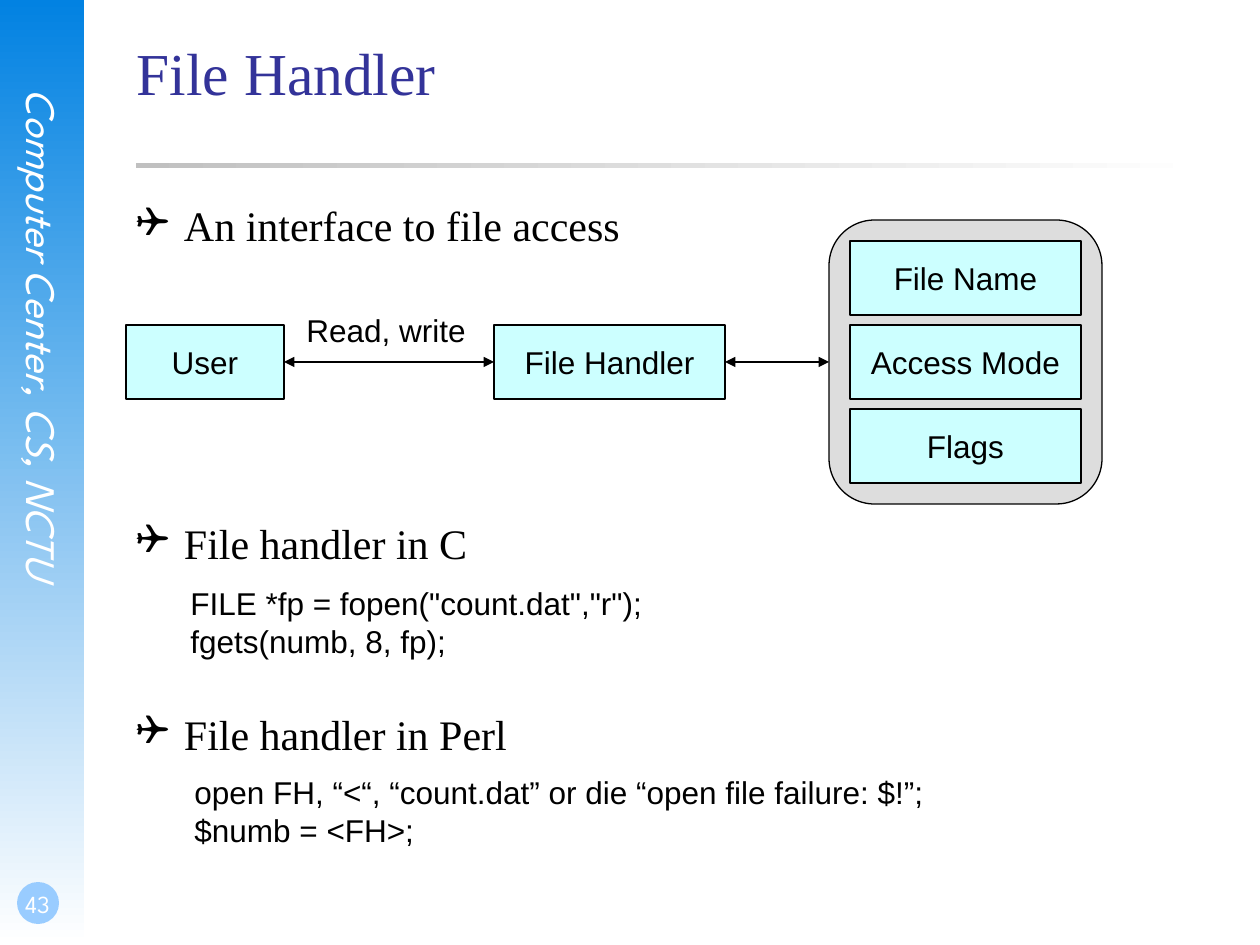
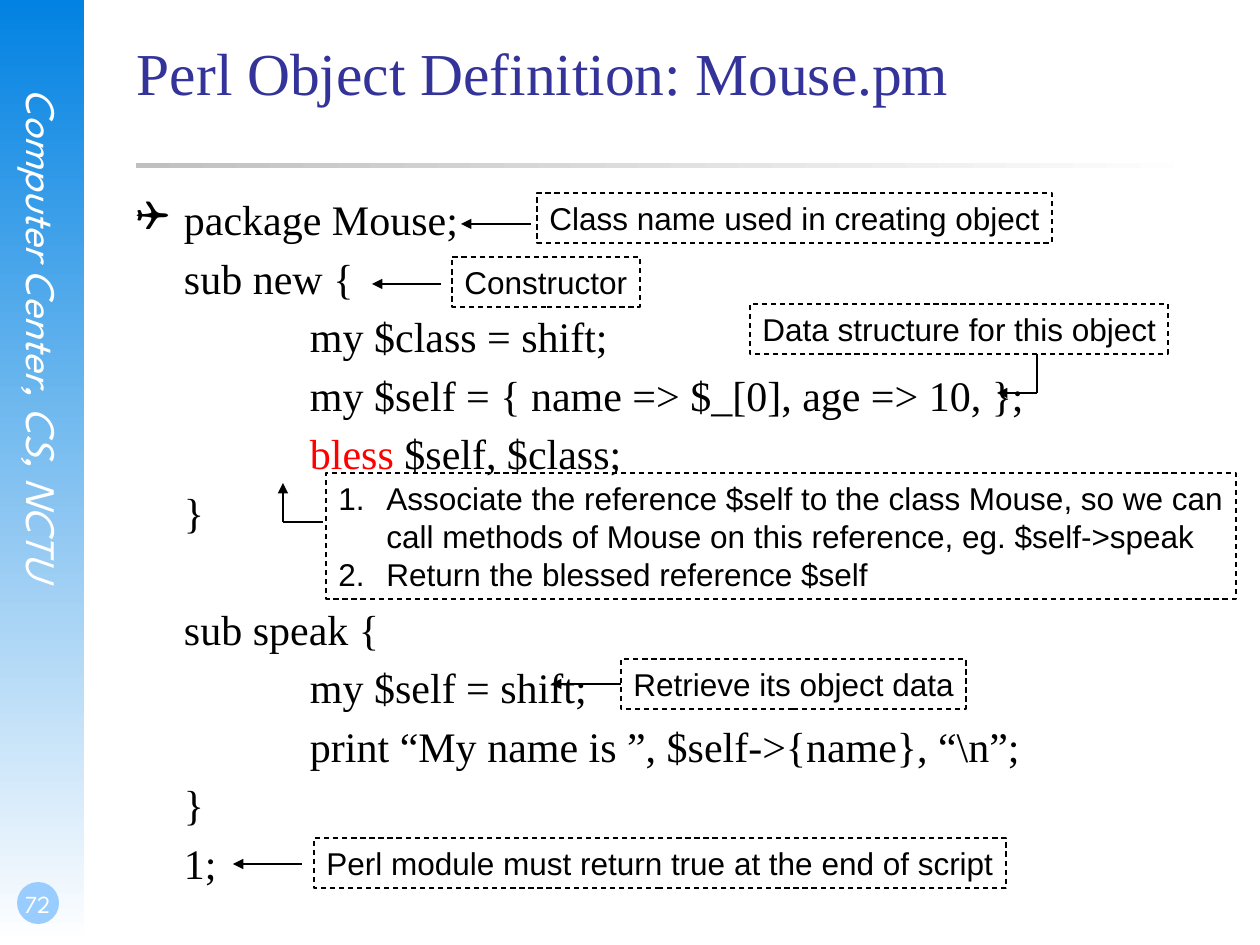
from lxml import etree
from pptx import Presentation
from pptx import util as u
from pptx.dml.color import RGBColor
from pptx.enum import dml, shapes, text
from pptx.oxml.ns import qn

EMU_PER_PX = 914400 / 126
SERIF, SANS, BAND_FONT = "Times New Roman", "Arial", "League Spartan"
BLACK, WHITE, TITLE_BLUE, RED = "000000", "FFFFFF", "333399", "FF0000"
BOX_BLUE, PANEL_GREY, CIRCLE_BLUE = "CCFFFF", "DDDDDD", "99CCFF"
LEFT, WIDTH, HANG = 136, 1071, 48
LINE_RATIO = 1.2
PARAGRAPH_GAP = 7.5
RECTANGLE = shapes.MSO_SHAPE.RECTANGLE
color = RGBColor.from_string


def px(*values):
    return [u.Emu(round(value * EMU_PER_PX)) for value in values]


def write(shape, lines, size=18, font=SANS, hue=BLACK, align="LEFT", anchor="TOP",
          wrap=False, inset=None, ratio=LINE_RATIO):
    """Each line is (text, bullet, left margin in px, space before in points)."""
    frame = shape.text_frame
    frame.word_wrap = wrap
    frame.vertical_anchor = text.MSO_ANCHOR[anchor]
    if inset is not None:
        frame.margin_left = frame.margin_right = inset
        frame.margin_top = frame.margin_bottom = inset
    for number, (words, bullet, margin, before) in enumerate(lines):
        paragraph = frame.paragraphs[0] if number == 0 else frame.add_paragraph()
        paragraph.text = words
        properties = paragraph._p.get_or_add_pPr()
        properties.set("marL", str(px(margin)[0]))
        properties.set("indent", str(-px(HANG)[0] if bullet else 0))
        if bullet == "1.":
            etree.SubElement(properties, qn("a:buAutoNum"), type="arabicPeriod")
        elif bullet:
            etree.SubElement(properties, qn("a:buFont"), typeface="Wingdings")
            etree.SubElement(properties, qn("a:buChar"), char=bullet)
        else:
            etree.SubElement(properties, qn("a:buNone"))
        paragraph.alignment = text.PP_ALIGN[align]
        paragraph.space_before = u.Pt(before)
        if ratio:
            paragraph.line_spacing = u.Pt(size * ratio)
        paragraph.font.size = u.Pt(size)
        paragraph.font.name = font
        paragraph.font.color.rgb = color(hue)


presentation = Presentation()
presentation.slide_width, presentation.slide_height = px(1260, 945)

# Shared band, side text, page number, title and rule
slides = []
for title, page in [("File Handler", "43"), ("Perl Object Definition: Mouse.pm", "72")]:
    slide = presentation.slides.add_slide(presentation.slide_layouts[6])
    slides.append(slide)
    for area, start, angle in [((0, 0, 84, 945), "0282E2", 270),
                               ((LEFT, 163, WIDTH, 5), "C0C0C0", 0)]:
        band = slide.shapes.add_shape(RECTANGLE, *px(*area))
        band.shadow.inherit = False
        band.line.fill.background()
        band.fill.gradient()
        band.fill.gradient_angle = angle
        for stop, hue, position in zip(band.fill.gradient_stops, (start, WHITE), (0, 1)):
            stop.color.rgb = color(hue)
            stop.position = position

    circle = slide.shapes.add_shape(shapes.MSO_SHAPE.OVAL, *px(17, 882, 42, 42))
    circle.shadow.inherit = False
    circle.fill.solid()
    circle.fill.fore_color.rgb = color(CIRCLE_BLUE)
    circle.line.fill.background()

    side = slide.shapes.add_textbox(*px(19, 89, 50, 567))
    write(side, [("Computer Center, CS, NCTU", None, 0, 0)], 24, BAND_FONT, WHITE,
          wrap=True, inset=0, ratio=None)
    side.text_frame.paragraphs[0].font.italic = True
    side.text_frame._txBody.bodyPr.set("vert", "eaVert")

    page_box = slide.shapes.add_textbox(*px(2, 861, 71, 57))
    write(page_box, [(page, None, 0, 0)], 14, BAND_FONT, WHITE,
          align="CENTER", anchor="BOTTOM", wrap=True, inset=0, ratio=None)

    title_box = slide.shapes.add_textbox(*px(LEFT + 1, 36, WIDTH, 157))
    write(title_box, [(title, None, 0, 0)], 34, SERIF, TITLE_BLUE, wrap=True, inset=0)

handler_slide, object_slide = slides

# File Handler: headings, spaced to leave room for the diagram and code
headings = handler_slide.shapes.add_textbox(*px(LEFT, 200, WIDTH, 640))
write(headings, [("An interface to file access", "❑", HANG, 0),
                 ("File handler in C", "❑", HANG, 152.7),
                 ("File handler in Perl", "❑", HANG, 80.1)],
      24, SERIF, wrap=True, inset=0)

# File Handler: diagram boxes
panel = handler_slide.shapes.add_shape(
    shapes.MSO_SHAPE.FLOWCHART_ALTERNATE_PROCESS, *px(829, 220, 273, 284))
boxes = {"panel": panel}
labels = [("User", 126, 325, 158), ("File Handler", 494, 325, 231)]
labels += [(name, 850, 241 + 84 * row, 231)
           for row, name in enumerate(["File Name", "Access Mode", "Flags"])]
for name, left, top, width in labels:
    boxes[name] = handler_slide.shapes.add_shape(RECTANGLE, *px(left, top, width, 74))
    write(boxes[name], [(name, None, 0, 0)], align="CENTER", anchor="MIDDLE")
for name, box in boxes.items():
    box.shadow.inherit = False
    box.fill.solid()
    box.fill.fore_color.rgb = color(PANEL_GREY if name == "panel" else BOX_BLUE)
    box.line.color.rgb = color(BLACK)
    box.line.width = u.Pt(0.75)

# File Handler: arrow label and code, in boxes with room to spare on the right
for area, lines in [
    ((294, 305, 199, 50), ["Read, write"]),
    ((178, 578, 600, 88), ['FILE *fp = fopen("count.dat","r");', "fgets(numb, 8, fp);"]),
    ((182, 767, 900, 88), ["open FH, “<“, “count.dat” or die “open file failure: $!”;",
                           "$numb = <FH>;"]),
]:
    note = handler_slide.shapes.add_textbox(*px(*area))
    write(note, [(line, None, 0, 0) for line in lines], wrap=True)

# Mouse.pm: code listing, with indent depth and space before
CODE_RATIO = 0.9 * LINE_RATIO
OUTER, INNER = HANG, HANG + 126
SKIPPED_LINE = 24 * CODE_RATIO + 2 * PARAGRAPH_GAP
code = object_slide.shapes.add_textbox(*px(LEFT, 199, WIDTH, 720))
write(code, [("package Mouse;", "❑", OUTER, 0)] + [
    (line, None, margin, SKIPPED_LINE if line.startswith("sub speak") else PARAGRAPH_GAP)
    for line, margin in [
        ("sub new {", OUTER),
        ("my $class = shift;", INNER),
        ("my $self = { name => $_[0], age => 10, };", INNER),
        ("", INNER),
        ("}", OUTER),
        ("sub speak {", OUTER),
        ("my $self = shift;", INNER),
        ("print “My name is ”, $self->{name}, “\\n”;", INNER),
        ("}", OUTER),
        ("1;", OUTER),
    ]], 24, SERIF, wrap=True, inset=0, ratio=CODE_RATIO)
# The bless line has two colours
bless_line = code.text_frame.paragraphs[4]
for words, hue in [("bless", RED), (" $self, $class;", BLACK)]:
    run = bless_line.add_run()
    run.text = words
    run.font.color.rgb = color(hue)

# Mouse.pm: dashed callouts
callouts = []
for area, lines in [
    ((537, 193, 515, 50), ["Class name used in creating object"]),
    ((452, 257, 188, 50), ["Constructor"]),
    ((750, 304, 418, 50), ["Data structure for this object"]),
    ((326, 473, 910, 126), [
        "Associate the reference $self to the class Mouse, so we can\v"
        "call methods of Mouse on this reference, eg. $self->speak",
        "Return the blessed reference $self"]),
    ((621, 659, 345, 50), ["Retrieve its object data"]),
    ((314, 838, 692, 50), ["Perl module must return true at the end of script"]),
]:
    callout = object_slide.shapes.add_shape(RECTANGLE, *px(*area))
    callout.shadow.inherit = False
    callout.fill.background()
    callout.line.color.rgb = color(BLACK)
    callout.line.width = u.Pt(0.75)
    callout.line.dash_style = dml.MSO_LINE.DASH
    numbered = len(lines) > 1
    write(callout, [(line, "1." if numbered else None, HANG if numbered else 0, 0)
                    for line in lines])
    callouts.append(callout)
retrieve = callouts[4]

# Arrows: slide, start and end points, arrowheads, shapes joined at start and end
user, handler = boxes["User"], boxes["File Handler"]
for slide, points, heads, start, end in [
    (handler_slide, (284, 362, 494, 362), ("headEnd", "tailEnd"), (user, 3), (handler, 1)),
    (handler_slide, (725, 362, 829, 362), ("headEnd", "tailEnd"), (handler, 3), (panel, 1)),
    (object_slide, (531, 224, 461, 224), ("tailEnd",), None, None),
    (object_slide, (441, 284, 372, 284), ("tailEnd",), None, None),
    (object_slide, (1037, 393, 997, 393), ("tailEnd",), None, None),
    (object_slide, (1037, 393, 1037, 354), (), None, None),
    (object_slide, (621, 684, 551, 684), ("tailEnd",), (retrieve, 1), None),
    (object_slide, (283, 522, 283, 483), ("tailEnd",), None, None),
    (object_slide, (283, 522, 323, 522), (), None, None),
    (object_slide, (302, 864, 233, 864), ("tailEnd",), None, None),
]:
    arrow = slide.shapes.add_connector(shapes.MSO_CONNECTOR.STRAIGHT, *px(*points))
    if start:
        arrow.begin_connect(*start)
    if end:
        arrow.end_connect(*end)
    arrow.line.color.rgb = color(BLACK)
    arrow.line.width = u.Pt(0.75)
    line_element = arrow.line._get_or_add_ln()
    for head in heads:
        etree.SubElement(line_element, qn(f"a:{head}"), type="triangle")
    etree.SubElement(arrow._element.spPr, qn("a:effectLst"))

presentation.save("out.pptx")
